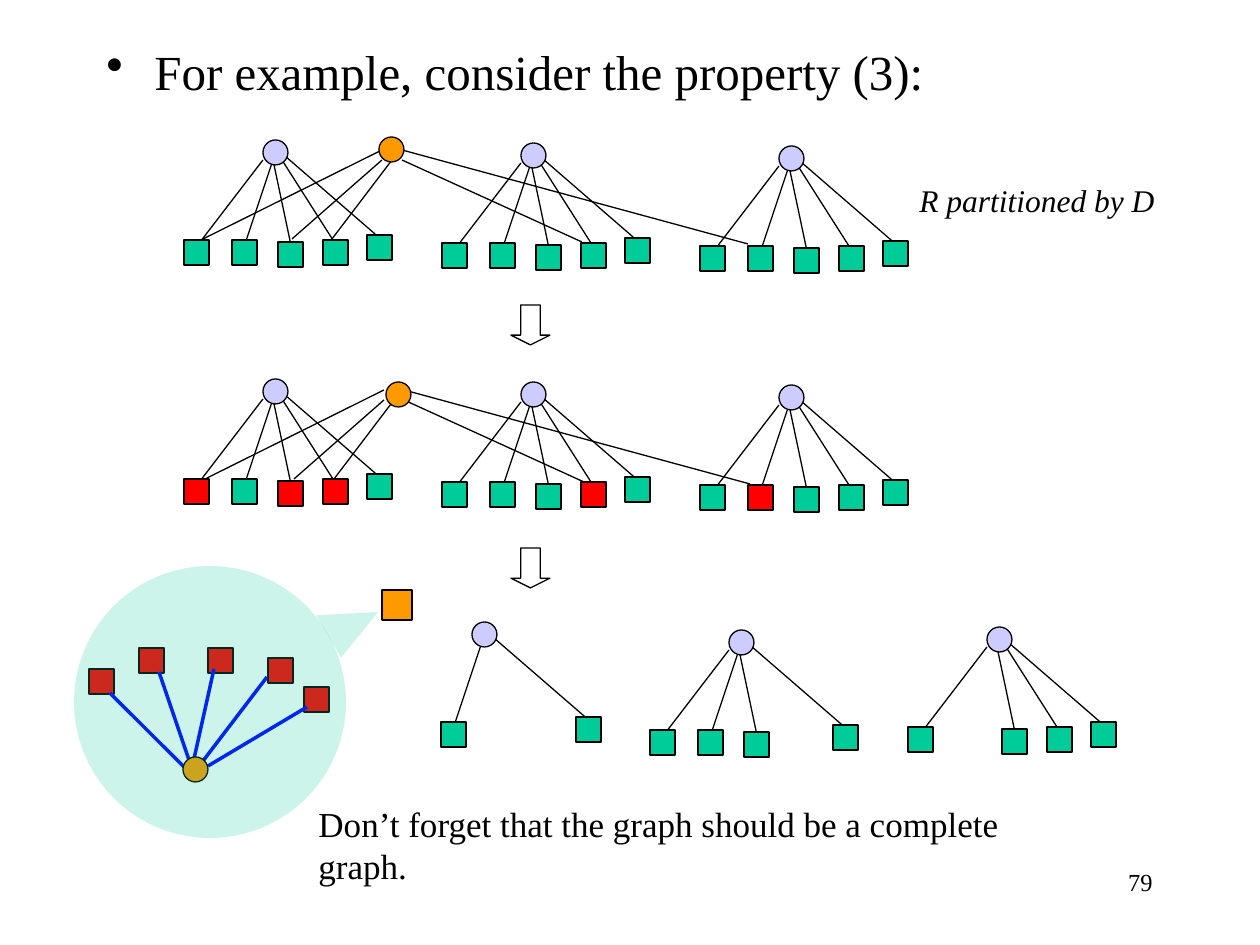
from lxml import etree
from pptx import Presentation
from pptx.dml.color import RGBColor
from pptx.enum.shapes import MSO_CONNECTOR, MSO_SHAPE
from pptx.enum.text import PP_ALIGN
from pptx.oxml.ns import qn
from pptx.util import Pt

PX = 914400 / 126
FONT = "Times New Roman"
LINE = MSO_CONNECTOR.STRAIGHT
RECT, OVAL = MSO_SHAPE.RECTANGLE, MSO_SHAPE.OVAL
DOWN_ARROW, TRIANGLE = MSO_SHAPE.DOWN_ARROW, MSO_SHAPE.ISOSCELES_TRIANGLE
LEFT, RIGHT = PP_ALIGN.LEFT, PP_ALIGN.RIGHT

COLORS = {
    "ink": "000000",
    "node": "CCCCFF",
    "leaf": "00CC99",
    "marked": "FF0000",
    "hub": "FF9900",
    "edge": "0000FF",
}
SIZE = 25  # side of a leaf, diameter of a node

# Offsets from the top left corner of a tree
NODE = (79, 0)
LEAVES = [(0, 100), (48, 100), (94, 102), (139, 100), (183, 95)]
BRANCHES = [
    ((79, 20), (10, 110)),
    ((89, 20), (59, 110)),
    ((89, 20), (108, 110)),
    ((98, 20), (149, 100)),
    ((101, 16), (198, 100)),
]
TREE_STEP = (258, 3)

# Offsets from the top left corner of a hub's fan
HUB_LINKS = [
    ((23, 23), (203, 105)),
    ((23, 13), (369, 107)),
    ((13, 23), (-47, 102)),
    ((3, 23), (-87, 102)),
    ((3, 13), (-176, 102)),
]

# Offsets from the top left corner of the bubble
BUBBLE_LEAVES = [(15, 103), (65, 82), (134, 82), (194, 92), (230, 121)]
BUBBLE_LINKS = [
    ((36, 127), (115, 206)),
    ((85, 106), (115, 194)),
    ((140, 103), (120, 193)),
    ((193, 111), (129, 195)),
    ((233, 141), (134, 200)),
]


def px(length):
    return round(length * PX)


def color(name):
    return RGBColor.from_string(COLORS[name])


def add_shape(page, kind, left, top, width, height, fill=None, alpha=None):
    """Add an outlined shape, or one without outline if alpha (percent) is given."""
    shape = page.shapes.add_shape(kind, px(left), px(top), px(width), px(height))
    shape.shadow.inherit = False
    if fill:
        shape.fill.solid()
        shape.fill.fore_color.rgb = color(fill)
    else:
        shape.fill.background()
    if alpha is None:
        shape.line.color.rgb = color("ink")
        shape.line.width = Pt(0.75)
    else:
        shape.line.fill.background()
        tint = shape.fill._xPr.find(".//" + qn("a:srgbClr"))
        etree.SubElement(tint, qn("a:alpha")).set("val", str(alpha * 1000))
    return shape


def add_lines(page, left, top, lines, name="ink", width=0.75):
    for (x1, y1), (x2, y2) in lines:
        line = page.shapes.add_connector(
            LINE, px(left + x1), px(top + y1), px(left + x2), px(top + y2))
        line.line.color.rgb = color(name)
        line.line.width = Pt(width)
        etree.SubElement(line._element.spPr, qn("a:effectLst"))


def add_text(page, text, left, top, width, height, size=20, italic=False,
             align=LEFT, bullet=None, indent=0):
    box = page.shapes.add_textbox(px(left), px(top), px(width), px(height))
    box.text_frame.word_wrap = True
    para = box.text_frame.paragraphs[0]
    para.alignment = align
    if bullet:
        properties = para._p.get_or_add_pPr()
        properties.set("marL", str(px(indent)))
        properties.set("indent", str(-px(indent)))
        etree.SubElement(properties, qn("a:buChar")).set("char", bullet)
    span = para.add_run()
    span.text = text
    span.font.name = FONT
    span.font.size = Pt(size)
    span.font.italic = italic
    span.font.color.rgb = color("ink")


def add_tree(page, left, top, kept=range(5), marked=()):
    """Draw a node with the kept leaves, those in marked in red."""
    add_lines(page, left, top, [BRANCHES[index] for index in kept])
    add_shape(page, OVAL, left + NODE[0], top + NODE[1], SIZE, SIZE, "node")
    for index in kept:
        x, y = LEAVES[index]
        fill = "marked" if index in marked else "leaf"
        add_shape(page, RECT, left + x, top + y, SIZE, SIZE, fill)


def add_forest(page, left, top, marks):
    for column, marked in enumerate(marks):
        add_tree(page, left + column * TREE_STEP[0], top + column * TREE_STEP[1],
                 marked=marked)


def add_hub(page, left, top, shift=0):
    """Draw the links of a hub and the hub itself, moved by shift."""
    add_lines(page, left, top, HUB_LINKS)
    add_shape(page, OVAL, left + shift, top + shift, SIZE, SIZE, "hub")


def add_down_arrow(page, left, top):
    arrow = add_shape(page, DOWN_ARROW, left, top, 39, 40)
    arrow.adjustments[0] = 0.5
    arrow.adjustments[1] = 0.25


def add_bubble(page, left, top, diameter):
    """Draw the collected leaves under a see-through speech bubble."""
    for x, y in BUBBLE_LEAVES:
        add_shape(page, RECT, left + x, top + y, SIZE, SIZE, "marked")
    add_lines(page, left, top, BUBBLE_LINKS, "edge", 2)
    add_shape(page, OVAL, left + 109, top + 191, SIZE, SIZE, "hub")
    add_shape(page, OVAL, left, top, diameter, diameter, "leaf", alpha=20)
    tail = add_shape(page, TRIANGLE, left + 254, top + 29, 49, 55, "leaf", alpha=20)
    tail.adjustments[0] = 0.58
    tail.rotation = 59.6


def main():
    deck = Presentation()
    deck.slide_width, deck.slide_height = px(1260), px(945)
    page = deck.slides.add_slide(deck.slide_layouts[6])

    add_text(page, "For example, consider the property (3):", 94, 35, 1111, 804,
             size=28, bullet="•", indent=48)

    add_forest(page, 184, 140, [(), (), ()])
    add_hub(page, 379, 137)
    add_text(page, "R partitioned by D", 907, 175, 268, 50, size=18, italic=True)

    add_down_arrow(page, 511, 305)
    add_forest(page, 184, 379, [(0, 2, 3), (3,), (1,)])
    add_hub(page, 381, 377, shift=5)

    add_down_arrow(page, 511, 548)
    add_tree(page, 393, 622, kept=(1, 4))
    add_tree(page, 650, 630, kept=(0, 1, 2, 4))
    add_tree(page, 908, 627, kept=(0, 2, 3, 4))
    add_bubble(page, 74, 566, 272)
    add_shape(page, RECT, 382, 590, 30, 30, "hub")

    add_text(page, "Don’t forget that the graph should be a complete graph.",
             306, 796, 800, 97)
    add_text(page, "79", 903, 861, 262, 63, size=14, align=RIGHT)
    deck.save("out.pptx")


if __name__ == "__main__":
    main()
